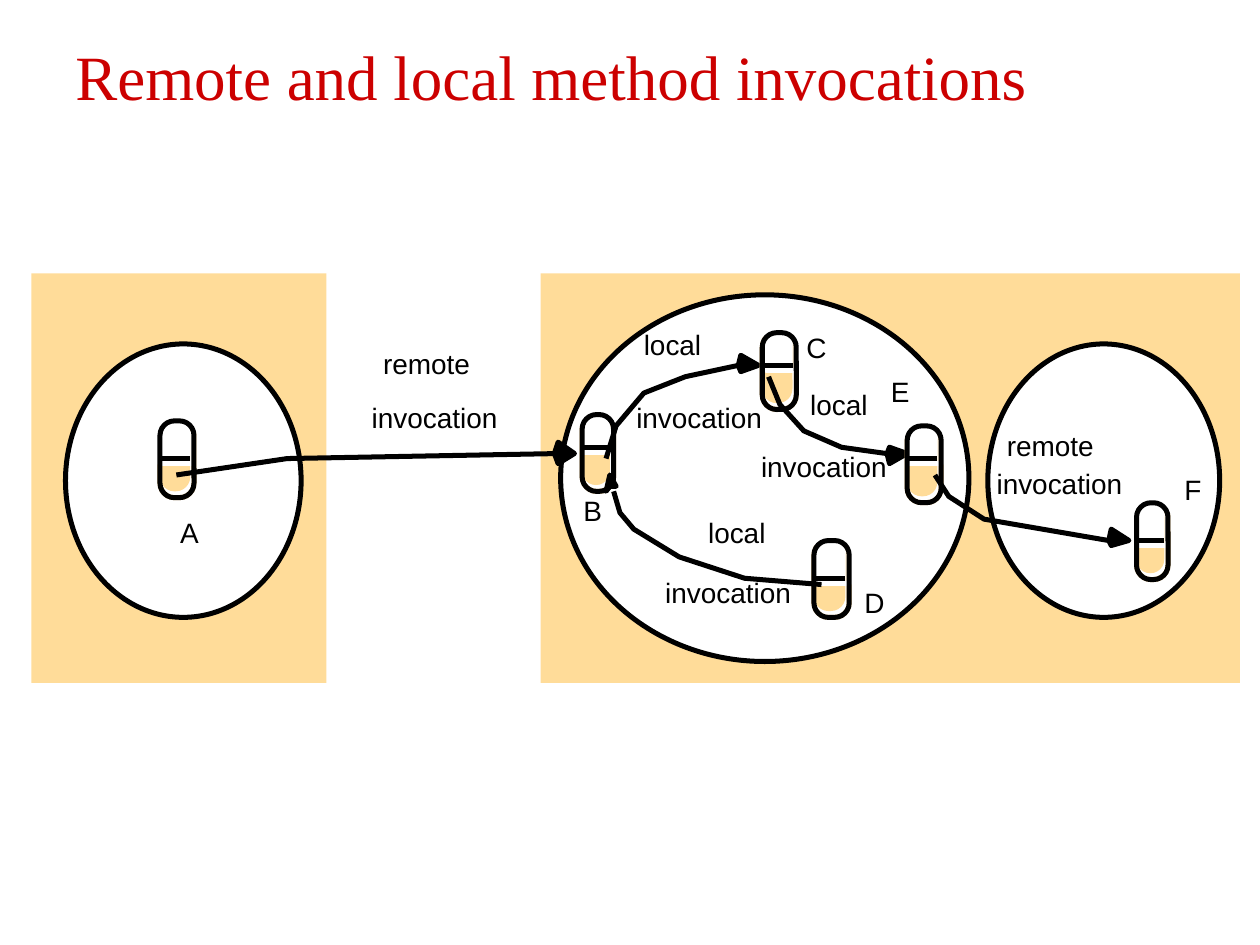
from lxml.etree import SubElement
from pptx import Presentation
from pptx.dml.color import RGBColor
from pptx.enum.shapes import MSO_CONNECTOR, MSO_SHAPE
from pptx.enum.text import MSO_AUTO_SIZE
from pptx.oxml.ns import qn
from pptx.util import Inches, Pt

COLORS = {"title": "CC0000", "computer": "FFDC99", "white": "FFFFFF", "black": "000000"}
LINE_WIDTH = Pt(2.86)
CORNER_RADIUS = 0.115
LABEL_HEIGHT = 0.27
LABEL_WIDTHS = {"invocation": 1, "remote": 0.69, "local": 0.46}
LETTER_WIDTH = 0.16

# Computers (rectangles) and processes (ellipses): left, top, width, height
COMPUTERS = [(4.29, 2.17, 5.55, 3.25), (0.25, 2.17, 2.34, 3.25)]
PROCESSES = [(4.45, 2.34, 3.24, 2.91), (0.52, 2.73, 1.87, 2.17), (7.84, 2.73, 1.84, 2.17)]

# Labels: text, left, top
LABELS = [
    ("remote", 3.04, 2.75), ("invocation", 2.95, 3.18),
    ("local", 5.11, 2.6), ("invocation", 5.05, 3.18),
    ("local", 6.43, 3.08), ("invocation", 6.04, 3.57),
    ("local", 5.62, 4.09), ("invocation", 5.28, 4.57),
    ("remote", 7.99, 3.4), ("invocation", 7.91, 3.7),
    ("A", 1.43, 4.09), ("B", 4.63, 3.92), ("C", 6.4, 2.62),
    ("D", 6.86, 4.65), ("E", 7.07, 2.97), ("F", 9.4, 3.75),
]

# Objects: left, top, width, depth of the divider, inset of the white upper part
OBJECTS = {
    "A": (1.27, 3.34, 0.27, 0.3, 0),
    "B": (4.62, 3.29, 0.25, 0.26, 0),
    "C": (6.05, 2.64, 0.27, 0.26, 0.03),
    "D": (6.46, 4.29, 0.28, 0.3, 0.03),
    "E": (7.2, 3.38, 0.27, 0.26, 0),
    "F": (9.02, 3.99, 0.25, 0.3, 0),
}

# Invocations by calling object: the bent line, then the arrowhead outline
INVOCATIONS = {
    "A": ([(1.4, 3.77), (2.28, 3.64), (4.43, 3.6)],
          [(4.4, 3.6), (4.43, 3.51), (4.56, 3.6), (4.43, 3.68)]),
    "B": ([(4.81, 3.64), (4.89, 3.38), (5.11, 3.12), (5.44, 2.99), (5.86, 2.9)],
          [(5.86, 2.9), (5.88, 2.82), (6.02, 2.9), (5.88, 2.95)]),
    "C": ([(6.1, 2.99), (6.19, 3.21), (6.38, 3.42), (6.68, 3.55), (7.04, 3.6)],
          [(7.04, 3.6), (7.06, 3.55), (7.2, 3.6), (7.06, 3.68)]),
    "E": ([(7.42, 3.77), (7.53, 3.94), (7.81, 4.12), (8.8, 4.29)],
          [(8.8, 4.29), (8.82, 4.2), (8.96, 4.29), (8.82, 4.33)]),
    "D": ([(6.52, 4.64), (5.91, 4.59), (5.39, 4.42), (5.03, 4.2), (4.92, 4.07), (4.87, 3.9)],
          [(4.84, 3.86), (4.81, 3.9), (4.84, 3.77), (4.89, 3.86)]),
}
DRAWING_ORDER = "ABCEDF"


def color(name):
    return RGBColor.from_string(COLORS[name])


def style(shape, fill=None, line=None):
    shape.shadow.inherit = False
    if fill:
        shape.fill.solid()
        shape.fill.fore_color.rgb = color(fill)
    else:
        shape.fill.background()
    if line:
        shape.line.color.rgb = color(line)
        shape.line.width = LINE_WIDTH
    else:
        shape.line.fill.background()


def add_figure(slide, kind, box, fill=None, line=None):
    shape = slide.shapes.add_shape(kind, *map(Inches, box))
    style(shape, fill, line)
    if kind == MSO_SHAPE.ROUNDED_RECTANGLE:
        shape.adjustments[0] = min(0.5, CORNER_RADIUS / box[2])


def add_path(slide, points, closed=False):
    corners = [(Inches(x), Inches(y)) for x, y in points]
    builder = slide.shapes.build_freeform(*corners[0])
    builder.add_line_segments(corners[1:], close=closed)
    style(builder.convert_to_shape(), "black" if closed else None, "black")


def add_line(slide, left, right, y):
    connector = slide.shapes.add_connector(
        MSO_CONNECTOR.STRAIGHT, Inches(left), Inches(y), Inches(right), Inches(y))
    connector.line.color.rgb = color("black")
    connector.line.width = LINE_WIDTH
    SubElement(connector._element.spPr, qn("a:effectLst"))


def add_text(slide, text, box, font_name, size, color_name):
    frame = slide.shapes.add_textbox(*map(Inches, box)).text_frame
    paragraph = frame.paragraphs[0]
    paragraph.text = text
    paragraph.font.name = font_name
    paragraph.font.size = Pt(size)
    paragraph.font.color.rgb = color(color_name)
    return frame


def add_label(slide, text, left, top):
    width = LABEL_WIDTHS.get(text, LETTER_WIDTH)
    frame = add_text(slide, text, (left, top, width, LABEL_HEIGHT), "Arial", 16, "black")
    frame.margin_left = frame.margin_right = frame.margin_top = frame.margin_bottom = 0
    frame.word_wrap = False
    frame.auto_size = MSO_AUTO_SIZE.SHAPE_TO_FIT_TEXT


def add_object(slide, left, top, width, divider, inset):
    """Draw a capsule with a white upper part and a dividing line."""
    capsule = MSO_SHAPE.ROUNDED_RECTANGLE
    inner_width = width - 0.03
    outline = (left, top, width, 0.61)
    upper_left, upper_width = left + inset, inner_width - inset
    add_figure(slide, capsule, (left, top, inner_width, 0.56), fill="computer")
    add_figure(slide, capsule, outline, line="computer")
    add_figure(slide, MSO_SHAPE.RECTANGLE, (upper_left, top, upper_width, divider), fill="white")
    add_figure(slide, MSO_SHAPE.RECTANGLE,
               (upper_left, top, upper_width + 0.03, divider + 0.04), line="white")
    add_figure(slide, capsule, outline, line="black")
    add_line(slide, left, left + inner_width, top + divider)


def main():
    presentation = Presentation()
    presentation.slide_width = Inches(10)
    presentation.slide_height = Inches(7.5)
    slide = presentation.slides.add_slide(presentation.slide_layouts[6])

    # Title
    title = add_text(slide, "Remote and local method invocations",
                     (0.5, 0.25, 8.92, 0.7), "Times New Roman", 36, "title")
    title.word_wrap = True

    # Computers and processes
    for box in COMPUTERS:
        add_figure(slide, MSO_SHAPE.RECTANGLE, box, fill="computer")
    for box in PROCESSES:
        add_figure(slide, MSO_SHAPE.OVAL, box, fill="white", line="black")

    # Labels
    for label in LABELS:
        add_label(slide, *label)

    # Objects, each followed by the invocation it makes
    for name in DRAWING_ORDER:
        add_object(slide, *OBJECTS[name])
        if name in INVOCATIONS:
            route, head = INVOCATIONS[name]
            add_path(slide, head, closed=True)
            add_path(slide, route)

    presentation.save("out.pptx")


if __name__ == "__main__":
    main()
